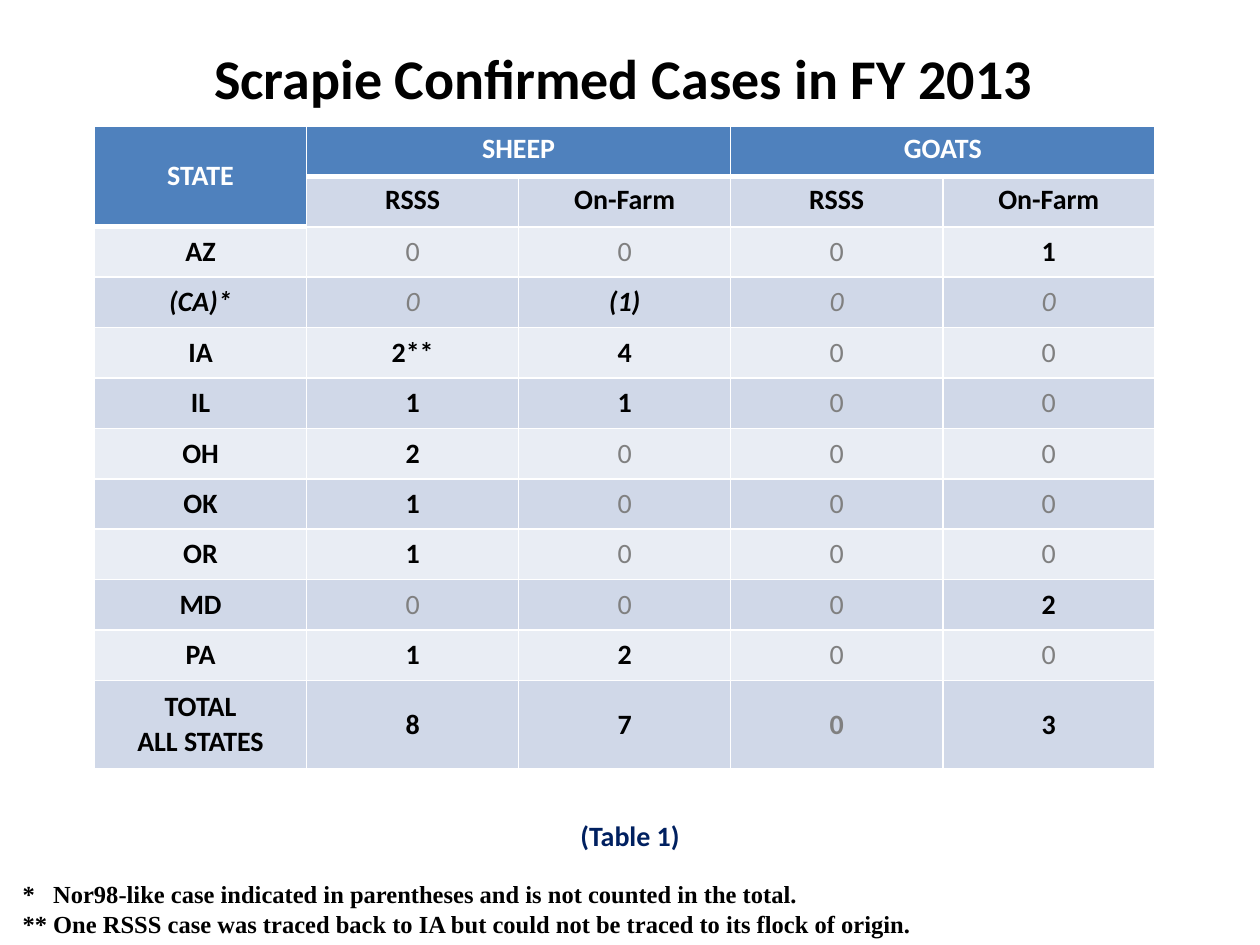
"""Build a slide with a table of confirmed scrapie cases by state."""
from lxml.etree import SubElement as Sub
from pptx import Presentation as Deck
from pptx.dml.color import RGBColor as Rgb
from pptx.enum.text import MSO_ANCHOR as Anchor, PP_ALIGN as Align
from pptx.oxml.ns import qn
from pptx.util import Pt

BLUE, BLACK, WHITE, GREY = "4F81BD", "000000", "FFFFFF", "808080"
BANDS = ["E9EDF4", "D0D8E8"]
ROWS = [
    ["STATE", "SHEEP", "", "GOATS", ""],
    ["", "RSSS", "On-Farm", "RSSS", "On-Farm"],
    ["AZ", "0", "0", "0", "1"],
    ["(CA)*", "0", "(1)", "0", "0"],
    ["IA", "2**", "4", "0", "0"],
    ["IL", "1", "1", "0", "0"],
    ["OH", "2", "0", "0", "0"],
    ["OK", "1", "0", "0", "0"],
    ["OR", "1", "0", "0", "0"],
    ["MD", "0", "0", "0", "2"],
    ["PA", "1", "2", "0", "0"],
    ["TOTAL\nALL STATES", "8", "7", "0", "3"],
]
NOTES = (
    "*\tNor98-like case indicated in parentheses and is not counted in the total.\n"
    "**\tOne RSSS case was traced back to IA but could not be traced to its flock of origin."
)


def tint(code):
    return Rgb.from_string(code)


def write(frame, text, size=16, face="Calibri", color=BLACK, bold=True,
          slant=False, align=Align.CENTER, tab=None):
    for num, line in enumerate(text.split("\n")):
        para = frame.add_paragraph() if num else frame.paragraphs[0]
        para.alignment = align
        if tab:
            stops = Sub(para._p.get_or_add_pPr(), qn("a:tabLst"))
            Sub(stops, qn("a:tab"), pos=str(Pt(tab)), algn="l")
        run = para.add_run()
        run.text = line
        font = run.font
        font.size, font.name = Pt(size), face
        font.bold, font.italic = bold, slant
        font.color.rgb = tint(color)


def label(slide, text, left, top, width, height, wrap=True,
          anchor=Anchor.TOP, **style):
    box = slide.shapes.add_textbox(Pt(left), Pt(top), Pt(width), Pt(height))
    frame = box.text_frame
    frame.word_wrap = wrap
    frame.vertical_anchor = anchor
    write(frame, text, **style)


def edge(cell, side, width):
    line = Sub(cell._tc.get_or_add_tcPr(), qn("a:ln" + side), w=str(Pt(width)))
    Sub(Sub(line, qn("a:solidFill")), qn("a:srgbClr"), val=WHITE)


def is_head(row, col):
    return row == 0 or (row == 1 and col == 0)


def fill_cell(cell, row, col, text):
    head = is_head(row, col)
    below = not head and is_head(row - 1, col)
    for side, width in zip("LRTB", (1, 1, 3 if below else 1, 3 if head else 1)):
        edge(cell, side, width)
    cell.fill.solid()
    cell.fill.fore_color.rgb = tint(BLUE if head else BANDS[row % 2])
    if row > 1 or col == 0:
        cell.vertical_anchor = Anchor.MIDDLE
    if text:
        zero = text == "0"
        color = WHITE if head else GREY if zero else BLACK
        write(cell.text_frame, text, color=color,
              bold=not zero or row == len(ROWS) - 1, slant=ROWS[row][0] == "(CA)*")


def add_cases(slide, left, top, wide, high, last):
    count, cols = len(ROWS), len(ROWS[0])
    total = high * (count - 1) + last
    grid = slide.shapes.add_table(count, cols, Pt(left), Pt(top),
                                  Pt(wide * cols), Pt(total)).table
    grid.first_row = grid.horz_banding = False
    for col in grid.columns:
        col.width = Pt(wide)
    for num, row in enumerate(grid.rows):
        row.height = Pt(last if num == count - 1 else high)
    for start, end in (((0, 0), (1, 0)), ((0, 1), (0, 2)), ((0, 3), (0, 4))):
        grid.cell(*start).merge(grid.cell(*end))
    for row, texts in enumerate(ROWS):
        for col, text in enumerate(texts):
            fill_cell(grid.cell(row, col), row, col, text)


def main():
    deck = Deck()
    deck.slide_width, deck.slide_height = Pt(720), Pt(540)
    slide = deck.slides.add_slide(deck.slide_layouts[6])
    label(slide, "(Table 1)", 0, 464.4, 720, 26.6, color="002060")
    add_cases(slide, 54, 72, 121.2, 28.8, 50.4)
    label(slide, "Scrapie Confirmed Cases in FY 2013 ", 54, -0.7, 612, 90,
          anchor=Anchor.MIDDLE, size=32)
    label(slide, NOTES, 5.8, 499, 522.7, 41, wrap=False, size=14,
          face="Times New Roman", align=Align.LEFT, tab=17.5)
    deck.save("out.pptx")


if __name__ == "__main__":
    main()
